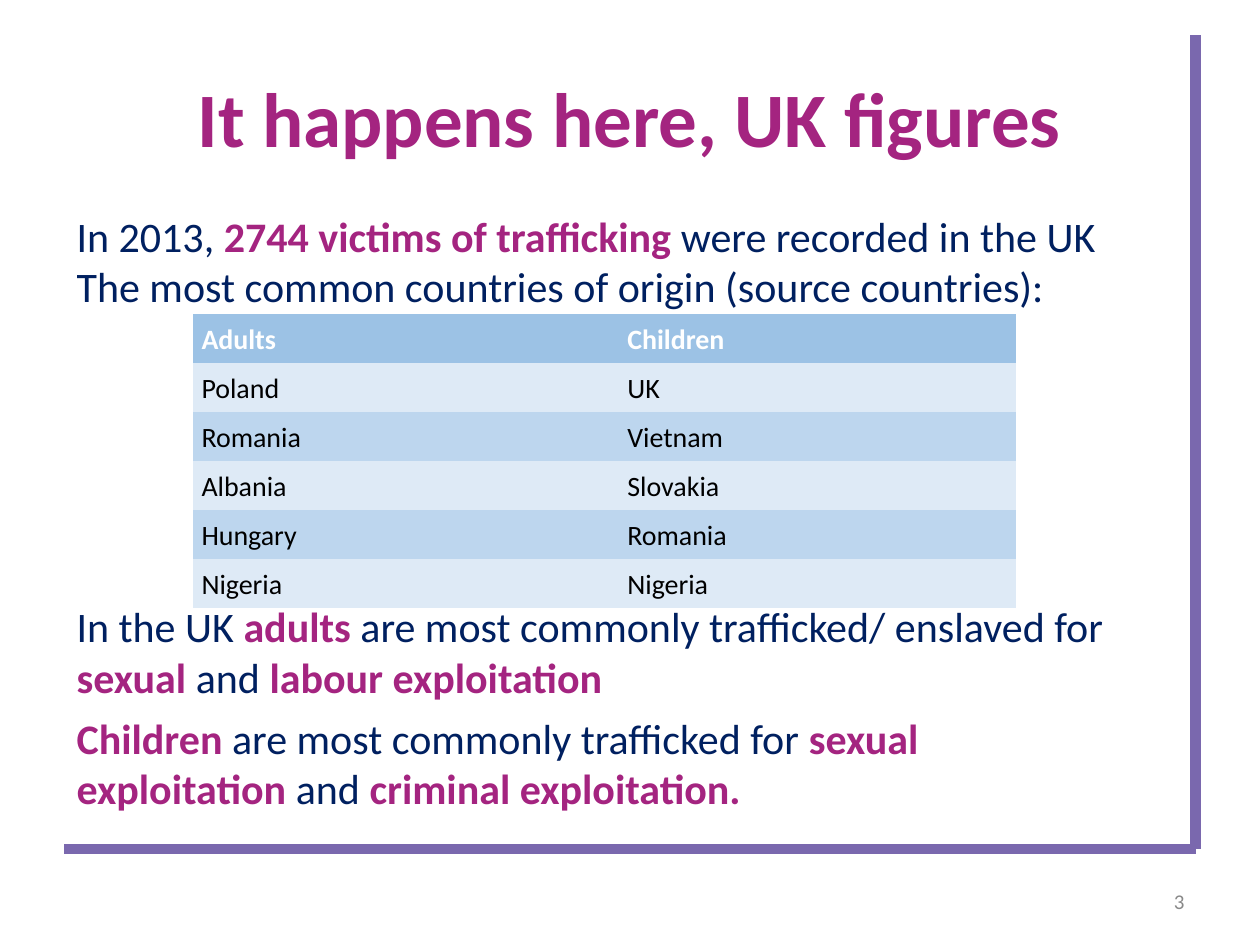
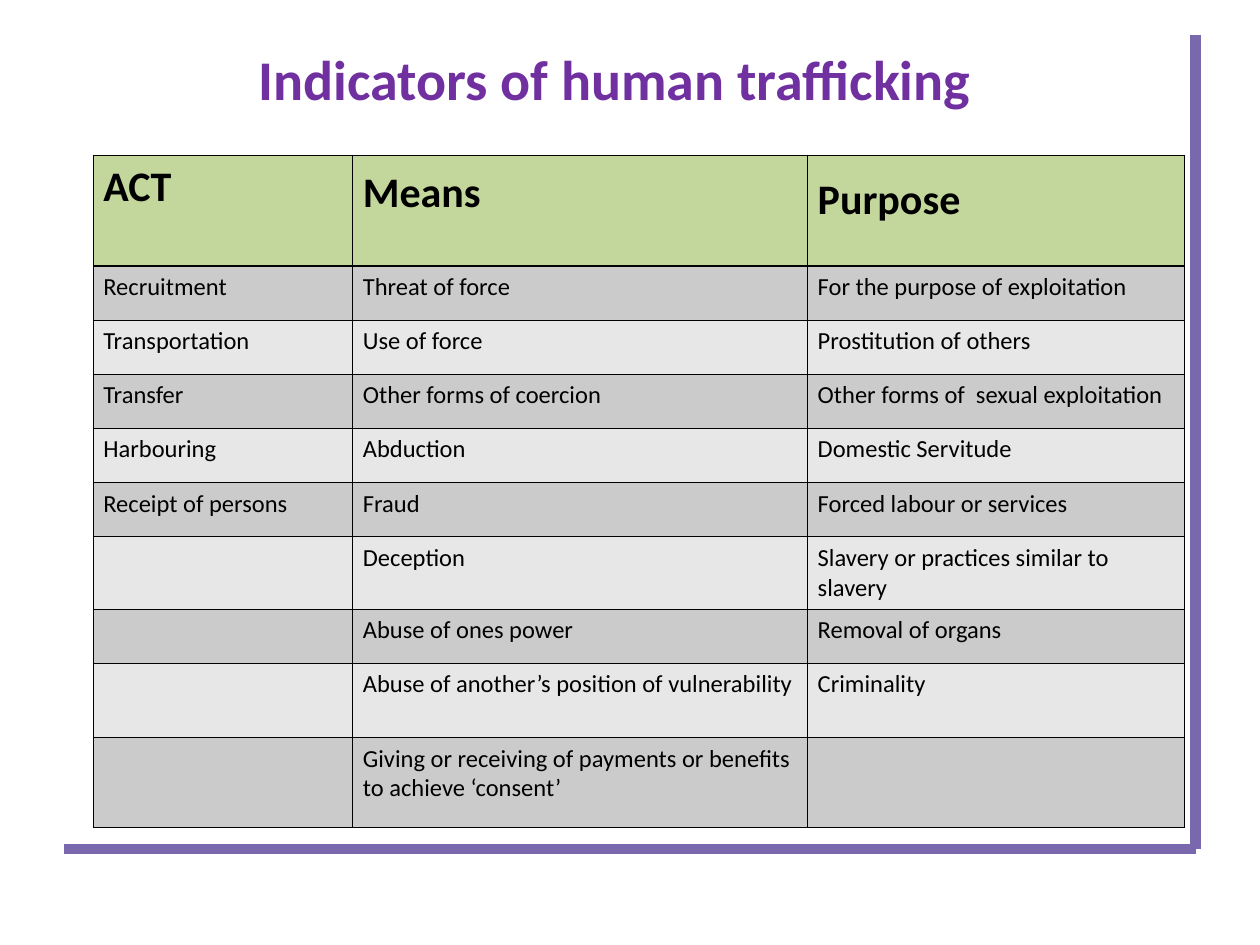
from lxml.etree import SubElement
from pptx import Presentation
from pptx.dml.color import RGBColor
from pptx.enum.shapes import MSO_CONNECTOR
from pptx.enum.text import MSO_ANCHOR, MSO_AUTO_SIZE, PP_ALIGN
from pptx.oxml.ns import qn
from pptx.util import Inches, Pt

FONT = "Calibri"
MAGENTA = "A42480"
PURPLE = "7030A0"
FRAME = "7A68AE"
NAVY = "002060"
GRAY = "898989"
BLACK = "000000"
WHITE = "FFFFFF"
BLUE_HEADER = "9CC2E5"
BLUE_BANDS = ("DEEAF6", "BDD6EE")
GREEN_HEADER = "C3D69B"
GRAY_BANDS = ("CBCBCB", "E7E7E7")
NO_STYLE = "{2D5ABB26-0587-4C30-8999-92F81FD0307C}"
THIN, THICK = 0.45, 1.47

COUNTRIES = [
    ("Adults", "Children"),
    ("Poland", "UK"),
    ("Romania", "Vietnam"),
    ("Albania", "Slovakia"),
    ("Hungary", "Romania"),
    ("Nigeria", "Nigeria"),
]
INDICATOR_HEADERS = [("ACT", None), ("Means", 28), ("Purpose", 32)]
INDICATORS = [
    ("Recruitment", "Threat of force", "For the purpose of exploitation"),
    ("Transportation", "Use of force", "Prostitution of others"),
    ("Transfer", "Other forms of coercion", "Other forms of  sexual exploitation"),
    ("Harbouring", "Abduction", "Domestic Servitude"),
    ("Receipt of persons", "Fraud", "Forced labour or services"),
    ("", "Deception", "Slavery or practices similar to slavery"),
    ("", "Abuse of ones power", "Removal of organs"),
    ("", "Abuse of another’s position of vulnerability", "Criminality"),
    ("", "Giving or receiving of payments or benefits to achieve ‘consent’", ""),
]
INDICATOR_ROW_HEIGHTS = [0.88] + [0.43] * 5 + [0.55, 0.43, 0.59, 0.71]


def color(value):
    return RGBColor.from_string(value)


def style_font(font, size, font_color, bold=False):
    font.name = FONT
    font.size = Pt(size)
    font.bold = bold
    font.color.rgb = color(font_color)


def add_run(paragraph, text, size, font_color, bold=False):
    run = paragraph.add_run()
    run.text = text
    style_font(run.font, size, font_color, bold)


def add_frame_line(slide, start_x, start_y, end_x, end_y):
    line = slide.shapes.add_connector(
        MSO_CONNECTOR.STRAIGHT,
        Inches(start_x), Inches(start_y), Inches(end_x), Inches(end_y),
    )
    line.line.color.rgb = color(FRAME)
    line.line.width = Pt(6)
    SubElement(line._element.spPr, qn("a:effectLst"))


def add_framed_slide(presentation):
    slide = presentation.slides.add_slide(presentation.slide_layouts[5])
    add_frame_line(slide, 9.49, 0.28, 9.49, 6.74)
    add_frame_line(slide, 0.51, 6.74, 9.49, 6.74)
    return slide


def place(shape, left, top, width, height):
    shape.left, shape.top = Inches(left), Inches(top)
    shape.width, shape.height = Inches(width), Inches(height)


def set_title(slide, text, bounds, size, font_color, anchor):
    title = slide.shapes.title
    place(title, *bounds)
    frame = title.text_frame
    frame.auto_size = MSO_AUTO_SIZE.NONE
    frame.vertical_anchor = anchor
    paragraph = frame.paragraphs[0]
    paragraph.alignment = PP_ALIGN.CENTER
    add_run(paragraph, text, size, font_color, True)


def add_text_box(slide, left, top, width, height):
    box = slide.shapes.add_textbox(
        Inches(left), Inches(top), Inches(width), Inches(height)
    )
    box.text_frame.word_wrap = True
    return box.text_frame


def add_statements(slide, top, height, statements):
    frame = add_text_box(slide, 0.51, top, 9, height)
    for index, statement in enumerate(statements):
        paragraph = frame.add_paragraph() if index else frame.paragraphs[0]
        paragraph.space_before = Pt(6 if index else 0)
        for text, emphasized in statement:
            if text == "\n":
                paragraph.add_line_break()
            else:
                add_run(paragraph, text, 24, MAGENTA if emphasized else NAVY, emphasized)


def add_page_number(slide, number):
    frame = add_text_box(slide, 7.17, 6.95, 2.33, 0.4)
    frame.vertical_anchor = MSO_ANCHOR.MIDDLE
    paragraph = frame.paragraphs[0]
    paragraph.alignment = PP_ALIGN.RIGHT
    add_run(paragraph, str(number), 12, GRAY)


def add_plain_table(slide, left, top, column_widths, row_heights):
    table = slide.shapes.add_table(
        len(row_heights), len(column_widths), Inches(left), Inches(top),
        Inches(sum(column_widths)), Inches(sum(row_heights)),
    ).table
    table.first_row = False
    table.horz_banding = False
    table._tbl.tblPr.find(qn("a:tableStyleId")).text = NO_STYLE
    for column, width in zip(table.columns, column_widths):
        column.width = Inches(width)
    for row, height in zip(table.rows, row_heights):
        row.height = Inches(height)
    return table


def format_cell(cell, fill, side_margin):
    cell.margin_left = cell.margin_right = Inches(side_margin)
    cell.margin_top = cell.margin_bottom = Inches(0.05)
    cell.fill.solid()
    cell.fill.fore_color.rgb = color(fill)
    return cell.text_frame.paragraphs[0]


def add_borders(cell, top, bottom):
    properties = cell._tc.get_or_add_tcPr()
    for side, width in (("L", THIN), ("R", THIN), ("T", top), ("B", bottom)):
        border = SubElement(properties, qn(f"a:ln{side}"), w=str(Pt(width)))
        SubElement(SubElement(border, qn("a:solidFill")), qn("a:srgbClr"), val=BLACK)


def add_country_table(slide):
    table = add_plain_table(slide, 1.53, 2.49, [3.38, 3.15], [0.39] * len(COUNTRIES))
    for row_index, countries in enumerate(COUNTRIES):
        is_header = row_index == 0
        fill = BLUE_HEADER if is_header else BLUE_BANDS[(row_index - 1) % 2]
        for column_index, text in enumerate(countries):
            paragraph = format_cell(table.cell(row_index, column_index), fill, 0.07)
            paragraph.line_spacing = 1.07
            add_run(paragraph, text, 16, WHITE if is_header else BLACK, is_header)


def add_indicator_table(slide):
    table = add_plain_table(slide, 0.74, 1.23, [2.06, 3.61, 2.99], INDICATOR_ROW_HEIGHTS)
    for column_index, (text, space_size) in enumerate(INDICATOR_HEADERS):
        cell = table.cell(0, column_index)
        add_borders(cell, THIN, THICK)
        paragraph = format_cell(cell, GREEN_HEADER, 0.08)
        add_run(paragraph, text, 24, BLACK, True)
        if space_size:
            add_run(paragraph, " ", space_size, BLACK, True)
    for row_index, indicators in enumerate(INDICATORS, 1):
        for column_index, text in enumerate(indicators):
            cell = table.cell(row_index, column_index)
            add_borders(cell, THICK if row_index == 1 else THIN, THIN)
            paragraph = format_cell(cell, GRAY_BANDS[(row_index - 1) % 2], 0.08)
            if text:
                add_run(paragraph, text, 14, BLACK)


def build_figures_slide(presentation):
    slide = add_framed_slide(presentation)
    set_title(slide, "It happens here, UK figures", (0.5, 0.3, 9, 1.25),
              44, MAGENTA, MSO_ANCHOR.MIDDLE)
    add_statements(slide, 1.62, 0.92, [[
        ("In 2013, ", False),
        ("2744 victims of trafficking ", True),
        ("were recorded in the UK", False),
        ("\n", False),
        ("The most common countries of origin (source countries):", False),
    ]])
    add_statements(slide, 4.72, 1.82, [
        [
            ("In the UK ", False),
            ("adults", True),
            (" are most commonly trafficked/ enslaved for ", False),
            ("sexual ", True),
            ("and ", False),
            ("labour exploitation", True),
        ],
        [
            ("Children ", True),
            ("are most commonly trafficked for ", False),
            ("sexual ", True),
            ("\n", False),
            ("exploitation ", True),
            ("and ", False),
            ("criminal exploitation.", True),
        ],
    ])
    add_page_number(slide, 3)
    add_country_table(slide)


def build_indicators_slide(presentation):
    slide = add_framed_slide(presentation)
    set_title(slide, "Indicators of human trafficking", (0.35, 0, 9.06, 0.94),
              32, PURPLE, MSO_ANCHOR.BOTTOM)
    add_indicator_table(slide)


def main():
    presentation = Presentation()
    presentation.slide_width = Inches(10)
    presentation.slide_height = Inches(7.5)
    build_figures_slide(presentation)
    build_indicators_slide(presentation)
    presentation.save("out.pptx")


if __name__ == "__main__":
    main()
